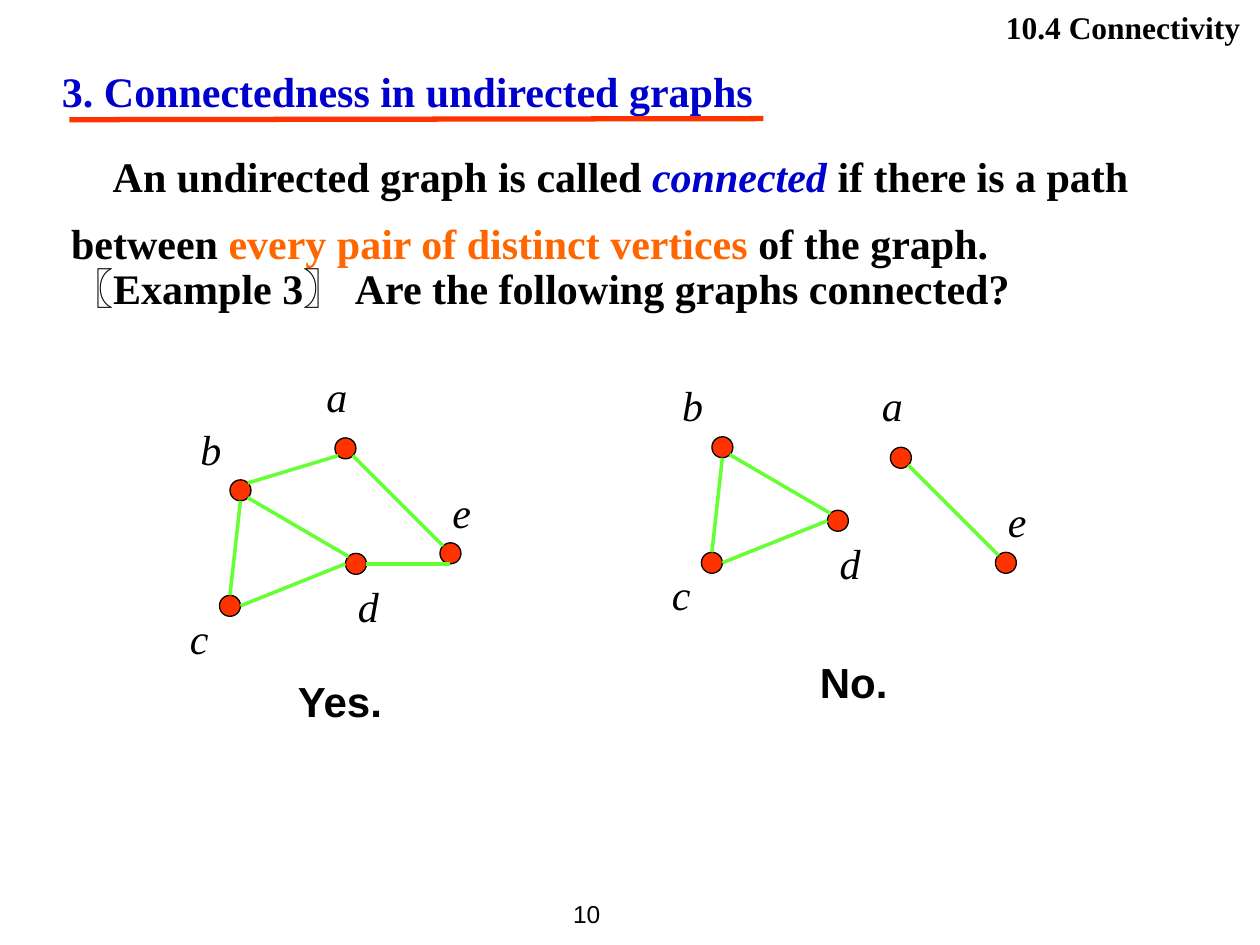
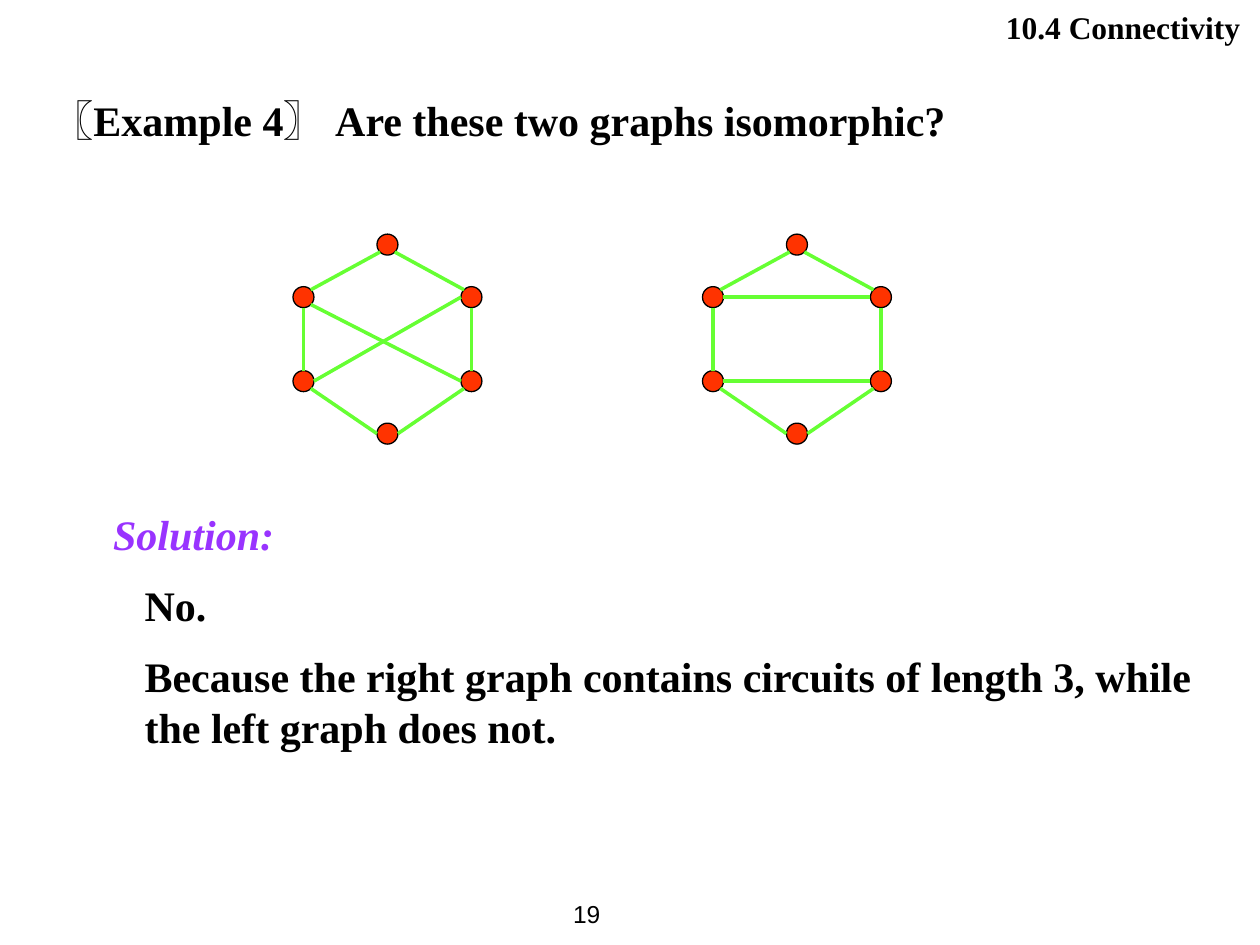
from lxml import etree
from pptx import Presentation
from pptx.dml.color import RGBColor
from pptx.enum.shapes import MSO_CONNECTOR as LINE, MSO_SHAPE as SHAPE
from pptx.enum.text import MSO_ANCHOR as ANCHOR, PP_ALIGN as ALIGN
from pptx.oxml.ns import qn
from pptx.util import Inches, Pt

COLORS = {"ink": "000000", "blue": "0000CC", "orange": "FF6600",
          "red": "FF3300", "green": "66FF33", "purple": "9933FF"}
SERIF, SANS = "Times New Roman", "Arial"
COLS, ROWS = 120, 90
DIAG = 0.7
SITES = {"n": (0, -1), "s": (0, 1), "e": (1, 0), "w": (-1, 0),
         "ne": (DIAG, -DIAG), "nw": (-DIAG, -DIAG),
         "se": (DIAG, DIAG), "sw": (-DIAG, DIAG)}
LABEL_OFFSETS = {"a": (-3, -8), "b": (-5, -7), "c": (-5, 0), "d": (-1, 1), "e": (-1, -7)}


class Deck:
    def __init__(self):
        self.prs = Presentation()
        self.prs.slide_width, self.prs.slide_height = Inches(10), Inches(7.5)
        self.s = None

    def x(self, col):
        return round(self.prs.slide_width * col / COLS)

    def y(self, row):
        return round(self.prs.slide_height * row / ROWS)

    def box(self, col, row, cols, rows):
        return self.x(col), self.y(row), self.x(cols), self.y(rows)

    def slide(self, number):
        self.s = self.prs.slides.add_slide(self.prs.slide_layouts[5])
        self.text(80.3, 0.2, 39, 4.8, [("10.4 Connectivity", {"size": 18})], align=ALIGN.RIGHT)
        self.text(53.4, 84, 8, 6, [(number, {"size": 14, "font": SANS, "bold": False})],
                  anchor=ANCHOR.MIDDLE)

    def spans(self, p, spans, left=0, first=0, align=ALIGN.LEFT):
        p.alignment = align
        pPr = p._p.get_or_add_pPr()
        pPr.set("marL", str(Inches(left)))
        pPr.set("indent", str(Inches(first)))
        for text, style in spans:
            r = p.add_run()
            r.text = text
            r.font.name = style.get("font", SERIF)
            r.font.size = Pt(style.get("size", 24))
            r.font.bold = style.get("bold", True)
            r.font.italic = style.get("italic", False)
            r.font.color.rgb = RGBColor.from_string(COLORS[style.get("color", "ink")])

    def text(self, col, row, cols, rows, spans, shapes=None, anchor=ANCHOR.TOP, **para):
        sp = (shapes or self.s.shapes).add_textbox(*self.box(col, row, cols, rows))
        tf = sp.text_frame
        tf.word_wrap, tf.vertical_anchor = True, anchor
        self.spans(tf.paragraphs[0], spans, **para)
        return tf

    def title(self, col, row, cols, spans):
        sp = self.s.shapes.title
        sp.left, sp.top, sp.width, sp.height = self.box(col, row, cols, 6)
        sp.text_frame.vertical_anchor = ANCHOR.TOP
        self.spans(sp.text_frame.paragraphs[0], spans)

    def line(self, start, end, color, width, shapes=None):
        cn = (shapes or self.s.shapes).add_connector(
            LINE.STRAIGHT, self.x(start[0]), self.y(start[1]), self.x(end[0]), self.y(end[1]))
        cn.line.color.rgb = RGBColor.from_string(COLORS[color])
        cn.line.width = Pt(width)
        etree.SubElement(cn._element.spPr, qn("a:effectLst"))

    def node(self, col, row, shapes):
        sp = shapes.add_shape(SHAPE.FLOWCHART_CONNECTOR, *self.box(col - 1, row - 1, 2, 2))
        sp.shadow.inherit = False
        sp.fill.solid()
        sp.fill.fore_color.rgb = RGBColor.from_string(COLORS["red"])
        sp.line.color.rgb = RGBColor.from_string(COLORS["ink"])
        sp.line.width = Pt(0.75)

    def graph(self, col, row, nodes, edges, labelled=False):
        shapes = self.s.shapes.add_group_shape().shapes
        centres = {name: (col + dx, row + dy) for name, (dx, dy) in nodes.items()}
        for name, (cx, cy) in centres.items():
            self.node(cx, cy, shapes)
            if labelled:
                dx, dy = LABEL_OFFSETS[name]
                self.text(cx + dx, cy + dy, 5, 6,
                          [(name, {"italic": True, "bold": False})], shapes)
        for edge in edges.split():
            ends = []
            for end in edge.split("-"):
                name, site = end.split(".")
                ends.append([c + d for c, d in zip(centres[name], SITES[site])])
            self.line(*ends, "green", 2, shapes)


def example(number, question):
    return [("〖", {"font": SANS}), (f"Example {number}", {}),
            ("〗 ", {"font": SANS}), (question, {})]


def connectedness(deck):
    deck.slide("10")
    deck.title(4.7, 5.6, 75.6, [("3. Connectedness in undirected graphs", {"color": "blue"})])
    deck.line((6.6, 11.4), (72.7, 11.3), "red", 3)
    tf = deck.text(5.6, 12.2, 106.8, 12.2, [
        ("An undirected graph is called ", {}),
        ("connected", {"color": "blue", "italic": True}),
        (" if there is a path between ", {}),
        ("every pair of distinct vertices", {"color": "orange"}),
        (" of the graph.", {})], first=0.33)
    tf.paragraphs[0].line_spacing = 1.33
    deck.text(5.6, 24.4, 109.7, 6, example(3, "Are the following graphs connected?"))
    deck.graph(21.9, 42.7,
               {"a": (11, 0), "b": (1, 4), "c": (0, 15), "d": (12, 11), "e": (21, 10)},
               "d.e-e.s d.w-c.e c.n-b.s b.ne-a.sw a.se-e.nw b.se-d.nw", labelled=True)
    deck.graph(67.8, 42.6,
               {"a": (18, 1), "b": (1, 0), "c": (0, 11), "d": (12, 7), "e": (28, 11)},
               "d.w-c.e c.n-b.s a.se-e.nw b.se-d.nw", labelled=True)
    for col, row, answer in ((27.2, 63.7, "Yes."), (76.9, 61.9, "No.")):
        deck.text(col, row, 12, 7, [(answer, {"font": SANS})])


def isomorphism(deck):
    deck.slide("19")
    deck.title(3.7, 8.4, 109.7, example(4, "Are these two graphs isomorphic?"))
    hexagon = {"top": (8, 0), "ul": (0, 5), "ur": (16, 5),
               "ll": (0, 13), "lr": (16, 13), "base": (8, 18)}
    outline = "ul.s-ll.n ur.s-lr.n ul.ne-top.sw ur.nw-top.se ll.se-base.w base.e-lr.sw "
    for col, chords in ((28.9, "ul.se-lr.w ll.e-ur.w"), (67.9, "ul.e-ur.w ll.e-lr.w")):
        deck.graph(col, 23.3, hexagon, outline + chords)
    tf = deck.text(6.6, 47.8, 109.7, 24.5,
                   [("Solution:", {"color": "purple", "italic": True})], left=0.25)
    tf.paragraphs[0].space_after = Pt(6)
    for sentence in ("No.", "Because the right graph contains circuits of length 3, "
                            "while the left graph does not."):
        p = tf.add_paragraph()
        deck.spans(p, [(sentence, {})], left=0.5)
        p.space_before = p.space_after = Pt(6)


def main():
    deck = Deck()
    connectedness(deck)
    isomorphism(deck)
    deck.prs.save("out.pptx")


if __name__ == "__main__":
    main()
